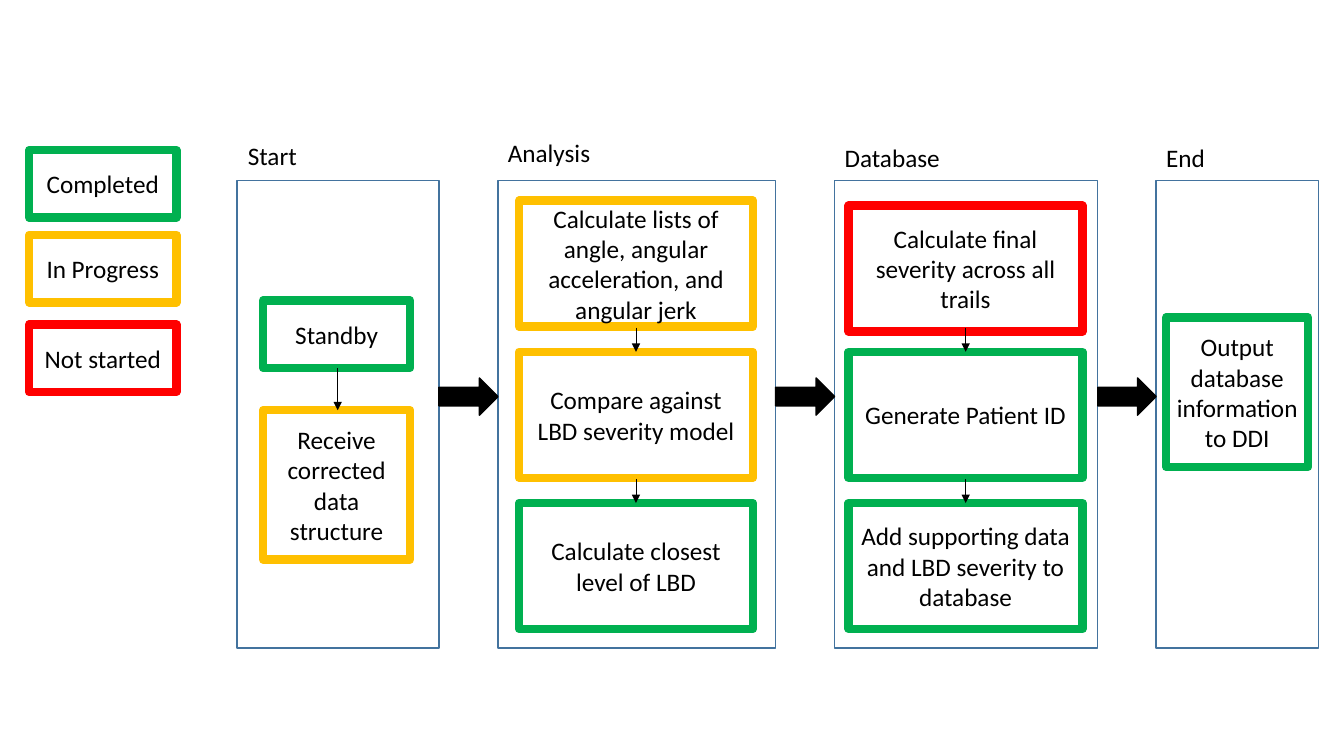
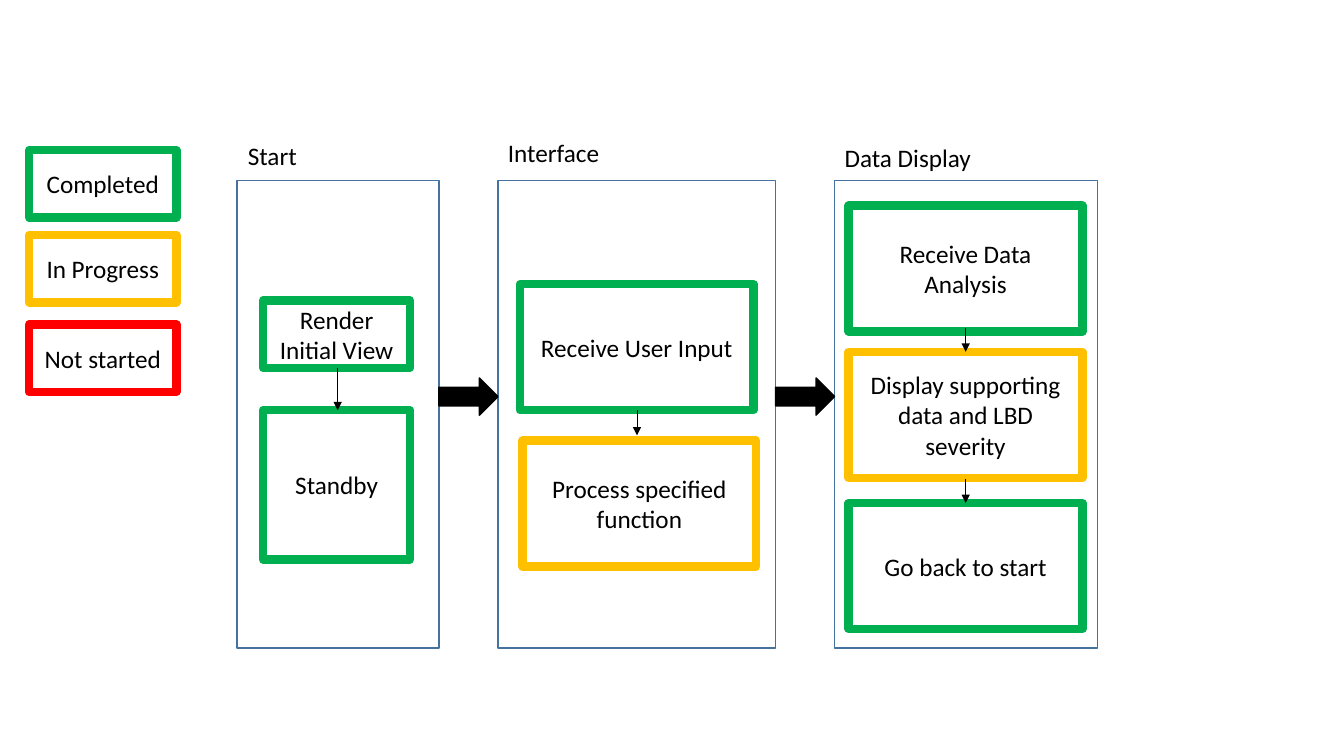
"""Builds two process-status slides: lanes of steps coloured by progress."""
from pptx import Presentation
from pptx.dml.color import RGBColor
from pptx.enum.shapes import MSO_CONNECTOR, MSO_SHAPE
from pptx.enum.text import MSO_ANCHOR, MSO_AUTO_SIZE, PP_ALIGN
from pptx.oxml.ns import qn
from pptx.util import Pt
from lxml import etree

RECTANGLE, RIGHT_ARROW = MSO_SHAPE.RECTANGLE, MSO_SHAPE.RIGHT_ARROW
STRAIGHT = MSO_CONNECTOR.STRAIGHT
MIDDLE, CENTER, LEFT = MSO_ANCHOR.MIDDLE, PP_ALIGN.CENTER, PP_ALIGN.LEFT
FIT_SHAPE = MSO_AUTO_SIZE.SHAPE_TO_FIT_TEXT

WHITE, BLACK, LANE_LINE = "FFFFFF", "000000", "43739E"
DONE, ACTIVE, WAITING = "00B050", "FFC000", "FF0000"
LANE_TOP, LANE_HEIGHT = 128.9, 334.1
FLOW_TOP, FLOW_HEIGHT = 270, 26.6
LABEL_HEIGHT = 29.1
LEGEND = [("Completed", DONE, 107.3), ("In Progress", ACTIVE, 167.8), ("Not started", WAITING, 231.8)]
LEGEND_LEFT, SMALL_WIDTH, SMALL_HEIGHT = 20.9, 105.1, 48.2
TALL_HEIGHT, WIDE_WIDTH, WIDE_HEIGHT = 106.6, 167, 90

START_LANE = {"left": 169.2, "width": 144.3, "label_left": 169.9, "label_top": 96.5}
SECOND_LANE = {"left": 355.7, "width": 198.3, "label_left": 355.7, "label_top": 94.3}
THIRD_LANE = {"left": 596.2, "width": 187.9, "label_left": 596.2, "label_top": 97.9}
END_LANE = {"left": 825.8, "width": 116.2, "label_left": 825.8, "label_top": 97.9}

START_SPOTS = [(187.9, 214.6, SMALL_WIDTH, SMALL_HEIGHT), (187.9, 293, SMALL_WIDTH, TALL_HEIGHT)]
ANALYSIS_SPOTS = [(370.8, top, WIDE_WIDTH, WIDE_HEIGHT) for top in (143.3, 251.3, 359.3)]
INTERFACE_SPOTS = [(371.3, 203, WIDE_WIDTH, WIDE_HEIGHT), (373.2, 314.8, WIDE_WIDTH, WIDE_HEIGHT)]
THIRD_SPOTS = [(606.2, top, WIDE_WIDTH, WIDE_HEIGHT) for top in (146.9, 251.3, 359.3)]
END_SPOTS = [(833, 226.8, 101.5, TALL_HEIGHT)]

START_STEPS = [(241.2, 262.8, 293)]
ANALYSIS_STEPS = [(454.3, 234, 251.3), (454.3, 342, 359.3)]
INTERFACE_STEPS = [(455, 293, 311)]
THIRD_STEPS = [(689.8, 234, 251.3), (689.8, 342, 359.3)]

SLIDES = [
    [
        (START_LANE, "Start", 49.7, START_SPOTS, START_STEPS,
         [("Standby", DONE), ("Receive corrected data structure", ACTIVE)]),
        (SECOND_LANE, "Analysis", 74.2, ANALYSIS_SPOTS, ANALYSIS_STEPS,
         [("Calculate lists of angle, angular acceleration, and angular jerk", ACTIVE),
          ("Compare against LBD severity model", ACTIVE),
          ("Calculate closest level of LBD", DONE)]),
        (THIRD_LANE, "Database", 83.5, THIRD_SPOTS, THIRD_STEPS,
         [("Calculate final severity across all trails", WAITING),
          ("Generate Patient ID", DONE),
          ("Add supporting data and LBD severity to database", DONE)]),
        (END_LANE, "End", 42.5, END_SPOTS, [],
         [("Output database information to DDI", DONE)]),
    ],
    [
        (START_LANE, "Start", 49.7, START_SPOTS, START_STEPS,
         [("Render Initial View", DONE), ("Standby", DONE)]),
        (SECOND_LANE, "Interface", 80.6, INTERFACE_SPOTS, INTERFACE_STEPS,
         [("Receive User Input", DONE), ("Process specified function", ACTIVE)]),
        (THIRD_LANE, "Data Display", 105.8, THIRD_SPOTS, THIRD_STEPS,
         [("Receive Data Analysis", DONE),
          ("Display supporting data and LBD severity", ACTIVE),
          ("Go back to start", DONE)]),
    ],
]


def color(value):
    return RGBColor.from_string(value)


def add_box(page, kind, spot, fill, line, weight, text=""):
    box = page.shapes.add_shape(kind, *[Pt(length) for length in spot])
    box.shadow.inherit = False
    box.fill.solid()
    box.fill.fore_color.rgb = color(fill)
    box.line.color.rgb = color(line)
    box.line.width = Pt(weight)
    if text:
        box.text_frame.word_wrap = True
        box.text_frame.vertical_anchor = MIDDLE
        para = box.text_frame.paragraphs[0]
        para.alignment = CENTER
        span = para.add_run()
        span.text = text
        span.font.name = "Calibri"
        span.font.size = Pt(18)
        span.font.color.rgb = color(BLACK)


deck = Presentation()
deck.slide_width, deck.slide_height = Pt(960), Pt(540)

for lanes in SLIDES:
    page = deck.slides.add_slide(deck.slide_layouts[6])

    for text, status, top in LEGEND:
        add_box(page, RECTANGLE, (LEGEND_LEFT, top, SMALL_WIDTH, SMALL_HEIGHT), WHITE, status, 6, text)

    for lane, title, title_width, spots, steps, tasks in lanes:
        add_box(page, RECTANGLE, (lane["left"], LANE_TOP, lane["width"], LANE_HEIGHT), WHITE, LANE_LINE, 1)

        label = page.shapes.add_textbox(
            Pt(lane["label_left"]), Pt(lane["label_top"]), Pt(title_width), Pt(LABEL_HEIGHT))
        label.text_frame.word_wrap = False
        label.text_frame.auto_size = FIT_SHAPE
        para = label.text_frame.paragraphs[0]
        para.alignment = LEFT
        span = para.add_run()
        span.text = title
        span.font.name = "Calibri"
        span.font.size = Pt(18)
        span.font.color.rgb = color(BLACK)

        for (text, status), spot in zip(tasks, spots):
            add_box(page, RECTANGLE, spot, WHITE, status, 6, text)

        for across, start, end in steps:
            step = page.shapes.add_connector(STRAIGHT, Pt(across), Pt(start), Pt(across), Pt(end))
            step.line.color.rgb = color(BLACK)
            step.line.width = Pt(0.5)
            etree.SubElement(step.line._get_or_add_ln(), qn("a:tailEnd"), type="triangle")
            etree.SubElement(step._element.spPr, qn("a:effectLst"))

    for (lane, *_), (following, *_) in zip(lanes, lanes[1:]):
        edge = lane["left"] + lane["width"]
        add_box(page, RIGHT_ARROW, (edge, FLOW_TOP, following["left"] - edge, FLOW_HEIGHT), BLACK, BLACK, 1)

deck.save("out.pptx")
